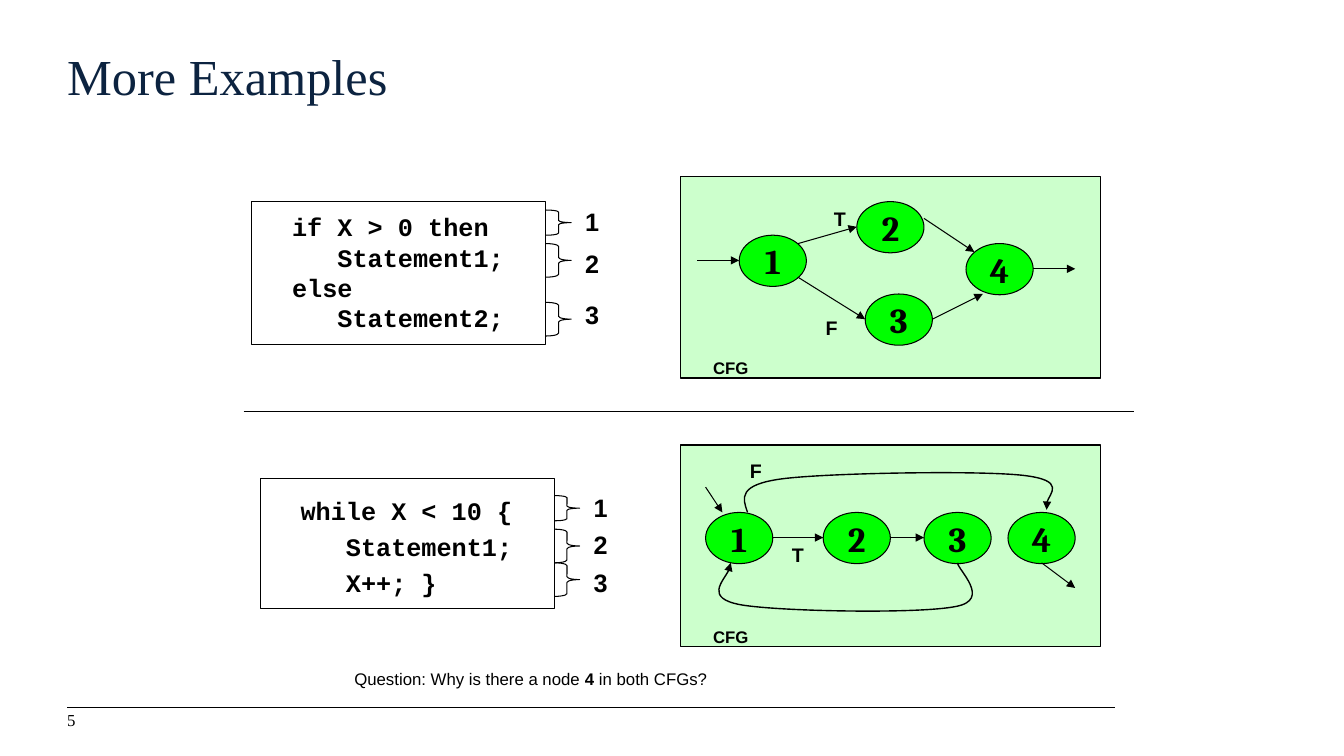
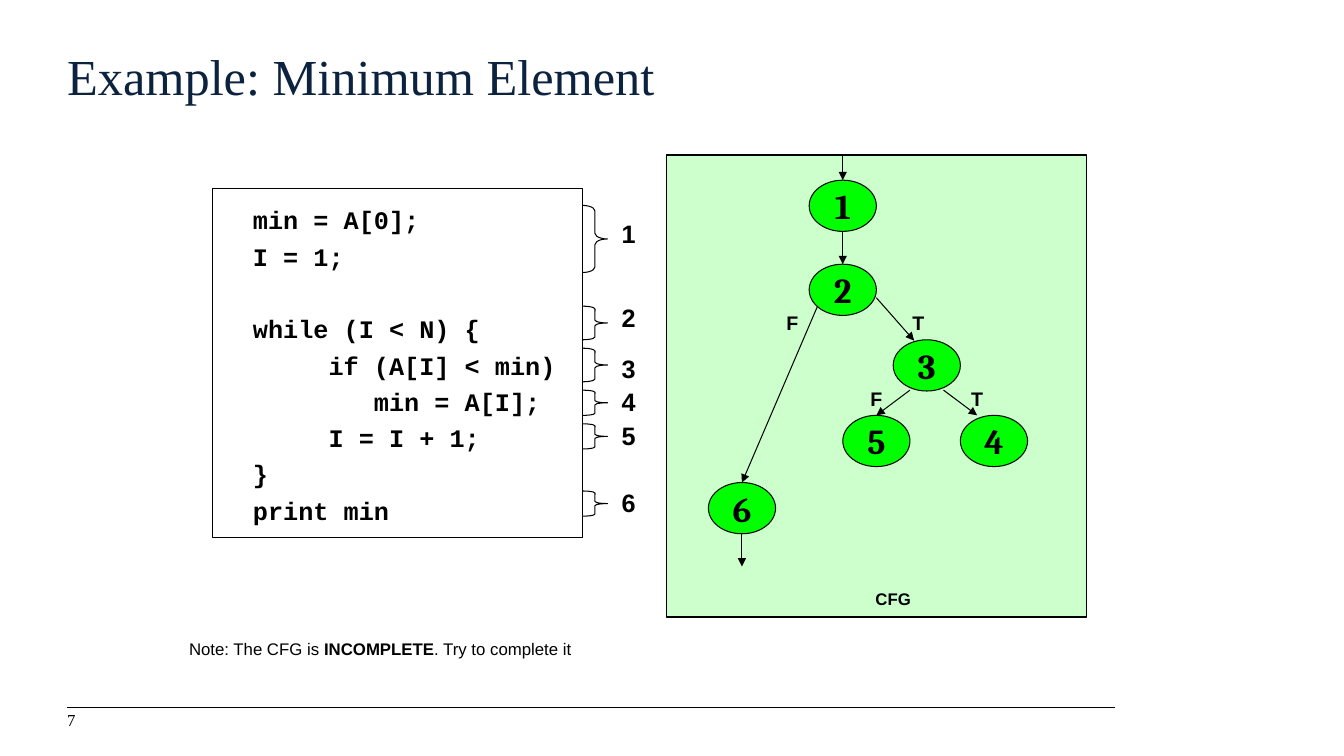
"""Builds two slides that pair code with its control flow graph."""
from dataclasses import dataclass
from typing import Any, Optional

from lxml.etree import SubElement
from pptx import Presentation
from pptx.dml.color import RGBColor
from pptx.enum.shapes import MSO_CONNECTOR, MSO_SHAPE
from pptx.enum.text import MSO_ANCHOR, PP_ALIGN
from pptx.oxml.ns import qn
from pptx.util import Inches, Pt

UNIT = Inches(1) // 12
COLS, ROWS = 160, 90

BLACK = RGBColor(0x00, 0x00, 0x00)
NAVY = RGBColor(0x0C, 0x23, 0x40)
MINT = RGBColor(0xCC, 0xFF, 0xCC)
GREEN = RGBColor(0x00, 0xFF, 0x00)

THIN, BOLD = Pt(0.75), Pt(1)
NODE_W, NODE_H = 8, 6.1
BRACE_W = 3
CODE_GAP = Pt(26)

TITLE = {"name": "Times New Roman", "size": Pt(36), "bold": False}
FOOT = {"name": "Times New Roman", "size": Pt(12), "bold": False}
CODE = {"name": "Courier New", "size": Pt(18), "bold": True}
MARK = {"name": "Arial", "size": Pt(18), "bold": True}
EDGE = {"name": "Arial", "size": Pt(14), "bold": True}
SMALL = {"name": "Arial", "size": Pt(12), "bold": True}
NODE = {"name": "Cambria", "size": Pt(25), "bold": True}

SIDES = ("margin_left", "margin_top", "margin_right", "margin_bottom")
INSET = dict(zip(SIDES, (Inches(0.1), Inches(0.05)) * 2))
FRAME = dict(zip(SIDES, (0, 0, Inches(0.1), Inches(0.05))))
PLAIN = {**INSET, "word_wrap": True, "vertical_anchor": MSO_ANCHOR.TOP}
HEAD = {**PLAIN, **FRAME}
PAGE = {**HEAD, "vertical_anchor": MSO_ANCHOR.MIDDLE}
LIST = {**PLAIN, **dict.fromkeys(SIDES, Inches(0.1))}
DISC = {**INSET, "word_wrap": False, "vertical_anchor": MSO_ANCHOR.MIDDLE}

Box = tuple[float, float, float, float]
Point = tuple[float, float]
Runs = tuple[tuple[str, bool], ...]


@dataclass(frozen=True)
class Brace:
    """A brace beside the code and the row of its number."""
    top: float
    high: float
    mark: float


@dataclass(frozen=True)
class Code:
    """A code box with its braces, numbered from one."""
    box: Box
    lines: tuple[str, ...]
    space: float
    braces: tuple[Brace, ...]


@dataclass(frozen=True)
class Graph:
    """A flow graph on a panel, with nodes numbered from one."""
    panel: Box
    name: Point
    nodes: tuple[Point, ...]
    edges: tuple[tuple[Point, Point], ...]
    signs: tuple[tuple[str, float, float], ...]
    curves: tuple[tuple[Point, ...], ...] = ()


@dataclass(frozen=True)
class Scene:
    """All that one slide shows."""
    title: str
    page: str
    pairs: tuple[tuple[Code, Graph], ...]
    note: Runs
    place: Box
    shift: Point = (0, 0)
    split: Optional[tuple[Point, Point]] = None


@dataclass(frozen=True)
class Pad:
    """A slide whose grid starts at a given point."""
    slide: Any
    start: Point = (0, 0)

    def spot(self, point: Point) -> tuple[int, int]:
        """Turn a grid point into slide lengths."""
        x, y = (round((p + s) * UNIT) for p, s in zip(point, self.start))
        return x, y

    def area(self, box: Box) -> tuple[int, int, int, int]:
        """Turn a grid box into slide lengths."""
        return *self.spot(box[:2]), round(box[2] * UNIT), round(box[3] * UNIT)


def dress(item: Any, form: dict[str, Any]) -> None:
    """Set each format value on an object."""
    for key, value in form.items():
        setattr(item, key, value)


def write(shape: Any, lines: tuple[Runs, ...], font: dict[str, Any],
          frame: dict[str, Any], form: dict[str, Any],
          color: RGBColor = BLACK) -> None:
    """Fill a shape with lines; an empty line becomes a gap."""
    text = shape.text_frame
    dress(text, frame)
    para, gap = text.paragraphs[0], False
    for row, runs in enumerate(lines):
        if not runs[0][0]:
            gap = True
            continue
        if row:
            para = text.add_paragraph()
        dress(para, form)
        if gap:
            para.space_before, gap = CODE_GAP, False
        for words, bold in runs:
            run = para.add_run()
            run.text = words
            dress(run.font, {**font, "bold": bold})
            run.font.color.rgb = color


def label(pad: Pad, box: Box, words: str, font: dict[str, Any],
          frame: dict[str, Any] = PLAIN, align: Any = PP_ALIGN.CENTER,
          color: RGBColor = BLACK) -> None:
    """Add a one-line text box."""
    shape = pad.slide.shapes.add_textbox(*pad.area(box))
    write(shape, (((words, font["bold"]),),), font, frame,
          {"alignment": align}, color)


def paint(shape: Any, fill: Optional[RGBColor] = None, width: int = THIN) -> None:
    """Give a shape its fill and a black outline without a shadow."""
    shape.shadow.inherit = False
    if fill is None:
        shape.fill.background()
    else:
        shape.fill.solid()
        shape.fill.fore_color.rgb = fill
    shape.line.color.rgb = BLACK
    shape.line.width = width


def draw(pad: Pad, kind: Any, box: Box, fill: Optional[RGBColor] = None,
         width: int = THIN) -> Any:
    """Add a preset shape."""
    shape = pad.slide.shapes.add_shape(kind, *pad.area(box))
    paint(shape, fill, width)
    return shape


def point(shape: Any) -> None:
    """Put an arrowhead at the end of a line."""
    line = shape._element.spPr.find(qn("a:ln"))
    SubElement(line, qn("a:tailEnd"), type="triangle")


def link(pad: Pad, ends: tuple[Point, Point], width: int = THIN,
         arrow: bool = True) -> None:
    """Add a straight line or arrow."""
    line = pad.slide.shapes.add_connector(
        MSO_CONNECTOR.STRAIGHT, *pad.spot(ends[0]), *pad.spot(ends[1]))
    line.line.color.rgb = BLACK
    line.line.width = width
    if arrow:
        point(line)
    SubElement(line._element.spPr, qn("a:effectLst"))


def bend(pad: Pad, points: tuple[Point, ...]) -> None:
    """Add a curved arrow, three points to each cubic part."""
    first, *rest = map(pad.spot, points)
    build = pad.slide.shapes.build_freeform(*first)
    build.add_line_segments(rest, close=False)
    shape = build.convert_to_shape()
    paint(shape, width=BOLD)
    point(shape)
    route = next(shape._element.iter(qn("a:path")))
    steps = route.findall(qn("a:lnTo"))
    for at in range(0, len(steps), 3):
        curve = SubElement(route, qn("a:cubicBezTo"))
        for step in steps[at:at + 3]:
            curve.append(step[0])
            route.remove(step)


def show_code(pad: Pad, code: Code) -> None:
    """Draw a code box, its braces and their numbers."""
    shape = draw(pad, MSO_SHAPE.RECTANGLE, code.box)
    write(shape, tuple(((line, True),) for line in code.lines), CODE, LIST,
          {"alignment": PP_ALIGN.LEFT, "line_spacing": code.space})
    edge = code.box[0] + code.box[2]
    for count, brace in enumerate(code.braces, 1):
        shape = draw(pad, MSO_SHAPE.RIGHT_BRACE,
                     (edge, brace.top, BRACE_W, brace.high))
        shape.adjustments[0] = brace.high / 36
        label(pad, (edge + BRACE_W, brace.mark, 5, 4.8), str(count), MARK)


def show_graph(pad: Pad, graph: Graph) -> None:
    """Draw a panel with its nodes, arrows and labels."""
    draw(pad, MSO_SHAPE.RECTANGLE, graph.panel, MINT, BOLD)
    label(pad, (*graph.name, 8, 3.6), "CFG", SMALL)
    for count, spot in enumerate(graph.nodes, 1):
        shape = draw(pad, MSO_SHAPE.OVAL, (*spot, NODE_W, NODE_H), GREEN)
        write(shape, (((str(count), True),),), NODE, DISC,
              {"alignment": PP_ALIGN.CENTER})
    for ends in graph.edges:
        link(pad, ends)
    for sign, x, y in graph.signs:
        label(pad, (x, y, 6, 4), sign, EDGE)
    for points in graph.curves:
        bend(pad, points)


def show(deck: Any, scene: Scene) -> None:
    """Add one slide with its title, pairs, note and foot."""
    slide = deck.slides.add_slide(deck.slide_layouts[6])
    base, pad = Pad(slide), Pad(slide, scene.shift)
    link(base, ((8, 84.2), (132.8, 84.2)), arrow=False)
    label(base, (8, 5.4, 125, 11.2), scene.title, TITLE, HEAD,
          PP_ALIGN.LEFT, NAVY)
    label(base, (8, 84.7, 6.4, 2.5), scene.page, FOOT, PAGE, PP_ALIGN.LEFT)
    for code, graph in scene.pairs:
        show_code(pad, code)
        show_graph(pad, graph)
    if scene.split:
        link(pad, scene.split, BOLD, False)
    note = slide.shapes.add_textbox(*pad.area(scene.place))
    write(note, (scene.note,), SMALL, PLAIN, {"alignment": PP_ALIGN.LEFT})


BRANCH = (
    Code((30, 24, 35, 17),
         ("  if X > 0 then", "     Statement1;", "  else", "     Statement2;"),
         1, (Brace(25, 3, 24), Brace(29, 4, 29), Brace(36, 4, 35))),
    Graph((81, 21, 50, 24), (83, 42),
          ((88, 28), (102, 24), (103, 35), (115, 29)),
          (((83, 31), (88, 31)), ((95, 29), (102, 27)), ((95, 33), (103, 38)),
           ((110, 26), (116, 30)), ((111, 38), (117, 35)),
           ((123, 32), (128, 32))),
          (("T", 97, 24), ("F", 96, 37))))
LOOP = (
    Code((31, 57, 35, 15.5),
         ("  while X < 10 {", "     Statement1;", "     X++; }"),
         1.2, (Brace(59, 3, 58), Brace(63, 4, 62.4), Brace(67, 4, 67))),
    Graph((81, 53, 50, 24), (83, 74),
          tuple((x, 61) for x in (84, 98, 110, 120)),
          (((84, 58), (86, 61)), ((92, 64), (98, 64)), ((106, 64), (110, 64)),
           ((124, 67), (128, 70))),
          (("T", 92, 64), ("F", 87, 54)),
          (((89, 61), (88.4, 59.3), (87.8, 57.7), (93.2, 57), (98.8, 56.3),
            (116.6, 56), (121.8, 56.6), (127, 57.2), (124, 59.9), (124.6, 60.7)),
           ((114, 67), (114, 67.8), (118.1, 71.4), (113.8, 72.2), (109.4, 73.1),
            (92.8, 72.8), (88.2, 72), (83.8, 71.2), (87.2, 68), (87, 67)))))
LEAST = (
    Code((25, 22, 44, 41.5),
         ("  min = A[0];", "  I = 1;", "", "  while (I < N) {",
          "       if (A[I] < min)", "          min = A[I];",
          "       I = I + 1;", "  }", "  print min"),
         1.2, (Brace(24, 8, 25), Brace(36, 4, 35), Brace(41, 4, 41),
               Brace(46, 3, 45), Brace(50, 3, 49), Brace(58, 3, 57))),
    Graph((79, 18, 50, 55), (102, 69),
          ((96, 21), (96, 31), (106, 40), (114, 49), (100, 49), (84, 57)),
          (((100, 18), (100, 21)), ((100, 27), (100, 31)),
           ((104, 35), (108.5, 40.1)), ((108, 46), (104, 49)),
           ((112, 46), (116, 49)), ((97, 36), (88, 57)), ((88, 63), (88, 67))),
          (("T", 106, 36), ("F", 91, 36), ("T", 113, 45), ("F", 101, 45))))
SCENES = (
    Scene("More Examples", "5", (BRANCH, LOOP),
          (("Question: Why is there a node ", False), ("4 ", True),
           ("in both CFGs?", False)),
          (41, 79, 51, 3.6), split=((29, 49), (135, 49))),
    Scene("Example: Minimum Element", "7", (LEAST,),
          (("Note: The CFG is ", False), ("INCOMPLETE", True),
           (". Try to complete it", False)),
          (21, 75, 54, 3.6), (0.33, 0.45)))


def main() -> None:
    """Build and save the deck."""
    deck = Presentation()
    dress(deck, {"slide_width": COLS * UNIT, "slide_height": ROWS * UNIT})
    for scene in SCENES:
        show(deck, scene)
    deck.save("out.pptx")


if __name__ == "__main__":
    main()
